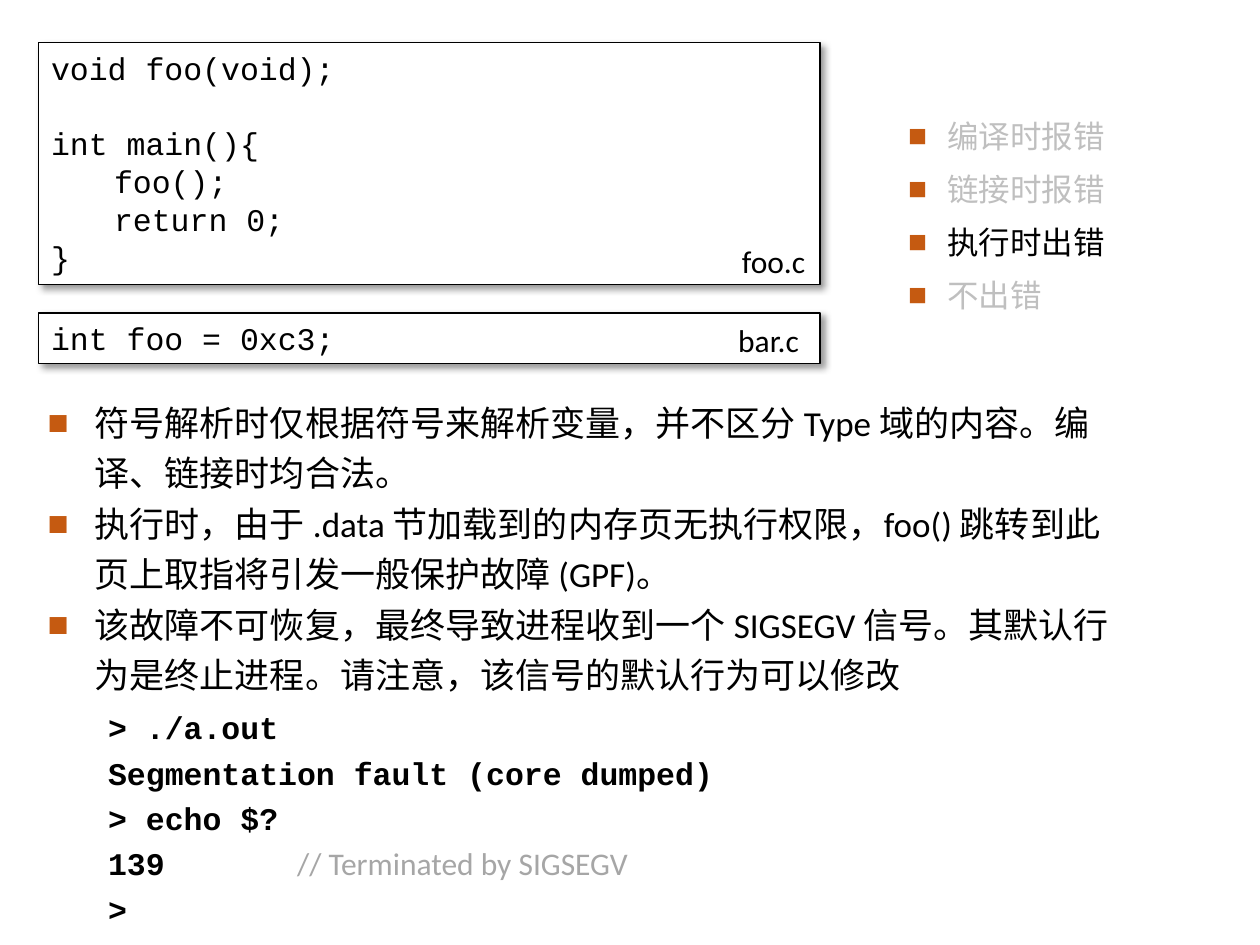
from pptx import Presentation
from pptx.dml.color import RGBColor
from pptx.enum import shapes, text
from pptx.oxml import parse_xml
from pptx.oxml.ns import nsdecls
from pptx.util import Cm, Pt

BLACK = RGBColor(0x00, 0x00, 0x00)
WHITE = RGBColor(0xFF, 0xFF, 0xFF)
PALE = RGBColor(0xBF, 0xBF, 0xBF)
GREY = RGBColor(0xA6, 0xA6, 0xA6)
ORANGE = RGBColor(0xC5, 0x5A, 0x11)
BODY_FONT = "Calibri"
CODE_FONT = "Courier New"
TAB_WIDTH = Cm(1.27)


def add_span(para, words, font=BODY_FONT, size=18, color=BLACK, bold=False):
    span = para.add_run()
    span.text = words
    span.font.name = font
    span.font.size = Pt(size)
    span.font.color.rgb = color
    span.font.bold = bold


def add_paragraphs(frame, count):
    for _ in range(count - 1):
        frame.add_paragraph()
    return frame.paragraphs


def set_tabs(para, count):
    stops = "".join(f'<a:tab pos="{TAB_WIDTH * n}" algn="l"/>'
                    for n in range(1, count + 1))
    para._p.get_or_add_pPr().append(
        parse_xml(f'<a:tabLst {nsdecls("a")}>{stops}</a:tabLst>'))


def set_bullet(para, indent):
    properties = para._p.get_or_add_pPr()
    properties.set("marL", str(indent))
    properties.set("indent", str(-indent))
    for inner in (f'<a:buClr {nsdecls("a")}><a:srgbClr val="{ORANGE}"/></a:buClr>',
                  f'<a:buFont {nsdecls("a")} typeface="Arial"/>',
                  f'<a:buChar {nsdecls("a")} char="■"/>'):
        properties.append(parse_xml(inner))


def add_text_box(page, left, top, width, height):
    box = page.shapes.add_textbox(Cm(left), Cm(top), Cm(width), Cm(height))
    box.text_frame.word_wrap = True
    return box.text_frame


def add_shadow(box):
    box.shadow.inherit = False
    effects = box._element.spPr.find("{*}effectLst")
    effects.append(parse_xml(
        f'<a:outerShdw {nsdecls("a")} blurRad="{Pt(4)}" dist="{Pt(3)}" '
        f'dir="{45 * 60000}" algn="tl" rotWithShape="0">'
        '<a:srgbClr val="000000"><a:alpha val="40000"/></a:srgbClr></a:outerShdw>'))


def add_code_box(page, top, height, lines):
    box = page.shapes.add_shape(shapes.MSO_SHAPE.RECTANGLE,
                                Cm(0.78), Cm(top), Cm(15.75), Cm(height))
    box.fill.solid()
    box.fill.fore_color.rgb = WHITE
    box.line.color.rgb = BLACK
    box.line.width = Pt(0.75)
    add_shadow(box)
    frame = box.text_frame
    frame.word_wrap = True
    frame.vertical_anchor = text.MSO_ANCHOR.TOP
    for para, line in zip(add_paragraphs(frame, len(lines)), lines):
        para.alignment = text.PP_ALIGN.LEFT
        set_tabs(para, 1)
        para.font.size = Pt(18)
        para.font.name = CODE_FONT
        if line:
            add_span(para, line, CODE_FONT)


def add_file_name(page, left, top, name):
    para = add_text_box(page, left, top, 7.67, 1.07).paragraphs[0]
    para.alignment = text.PP_ALIGN.CENTER
    para.line_spacing = 1.1
    add_span(para, name)


def add_bullets(page, place, items, size, indent, spacing):
    """Each item is a pair of wording and colour."""
    frame = add_text_box(page, *place)
    for para, (words, color) in zip(add_paragraphs(frame, len(items)), items):
        set_bullet(para, indent)
        para.line_spacing = spacing
        add_span(para, words, size=size, color=color)


def add_terminal(page, place, lines):
    """Each line is a pair of output and an optional comment."""
    frame = add_text_box(page, *place)
    for para, (output, comment) in zip(add_paragraphs(frame, len(lines)), lines):
        set_tabs(para, 3)
        para.line_spacing = 1.2
        add_span(para, output, CODE_FONT, bold=True)
        if comment:
            add_span(para, comment, color=GREY)


def main():
    deck = Presentation()
    deck.slide_width, deck.slide_height = Cm(25.4), Cm(19.05)
    page = deck.slides.add_slide(deck.slide_layouts[6])

    # Source files
    add_code_box(page, 0.86, 4.88, [
        "void foo(void);", "", "int main(){", "\tfoo();", "\treturn 0;", "}"])
    add_file_name(page, 11.76, 4.67, "foo.c")
    add_code_box(page, 6.31, 1.02, ["int foo = 0xc3;"])
    add_file_name(page, 11.66, 6.27, "bar.c")

    # Possible answers, the right one in black
    add_bullets(page, (18.06, 1.93, 5.49, 4.47), [
        ("编译时报错", PALE), ("链接时报错", PALE),
        ("执行时出错", BLACK), ("不出错", PALE)], 18, Cm(0.79), 1.4)

    # Explanation
    reasons = [
        "符号解析时仅根据符号来解析变量，并不区分 Type 域的内容。编译、链接时均合法。",
        "执行时，由于 .data 节加载到的内存页无执行权限，foo() 跳转到此页上取指将引发一般保护故障 (GPF)。",
        "该故障不可恢复，最终导致进程收到一个 SIGSEGV 信号。其默认行为是终止进程。请注意，该信号的默认行为可以修改",
    ]
    add_bullets(page, (0.71, 7.8, 22.12, 6.35),
                [(reason, BLACK) for reason in reasons], 20, Cm(0.95), 1.2)

    # Terminal session
    add_terminal(page, (1.93, 14.0, 21.13, 4.83), [
        ("> ./a.out", None),
        ("Segmentation fault (core dumped)", None),
        ("> echo $?", None),
        ("139\t\t\t", "// Terminated by SIGSEGV"),
        (">", None)])

    deck.save("out.pptx")


if __name__ == "__main__":
    main()
